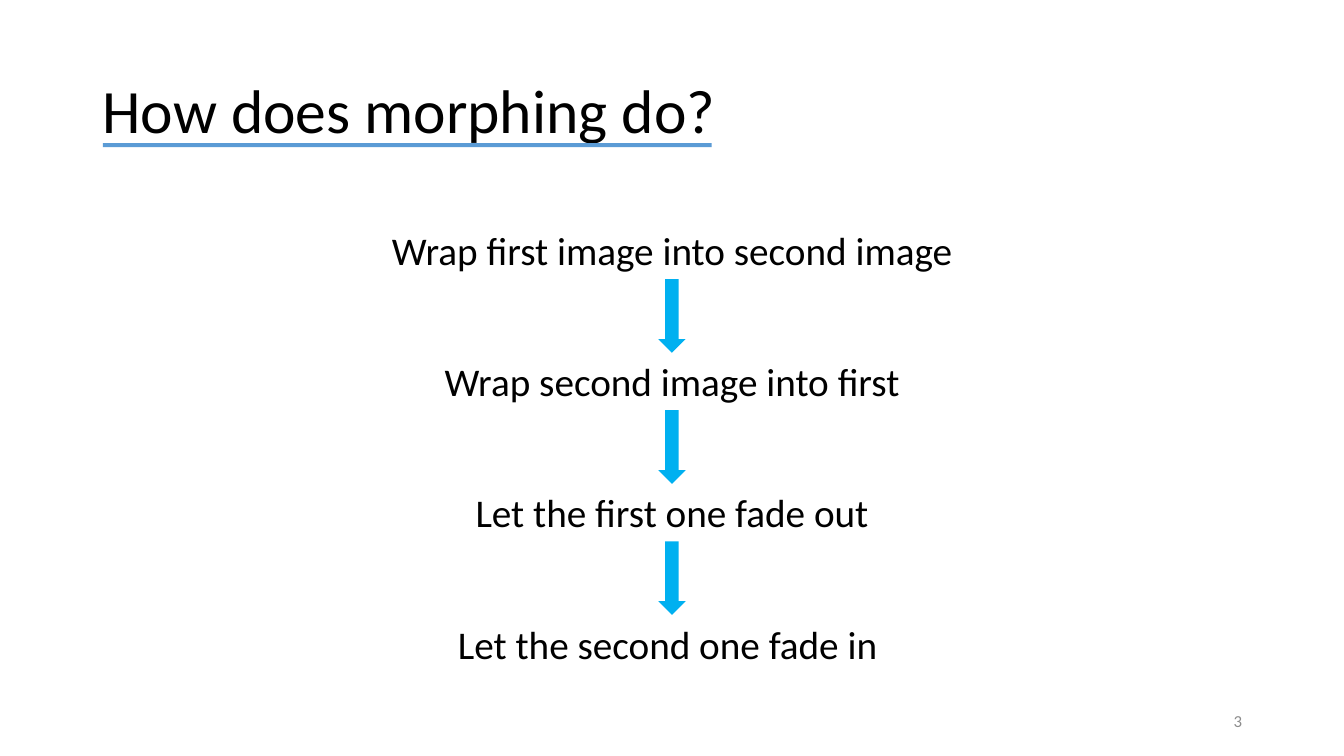
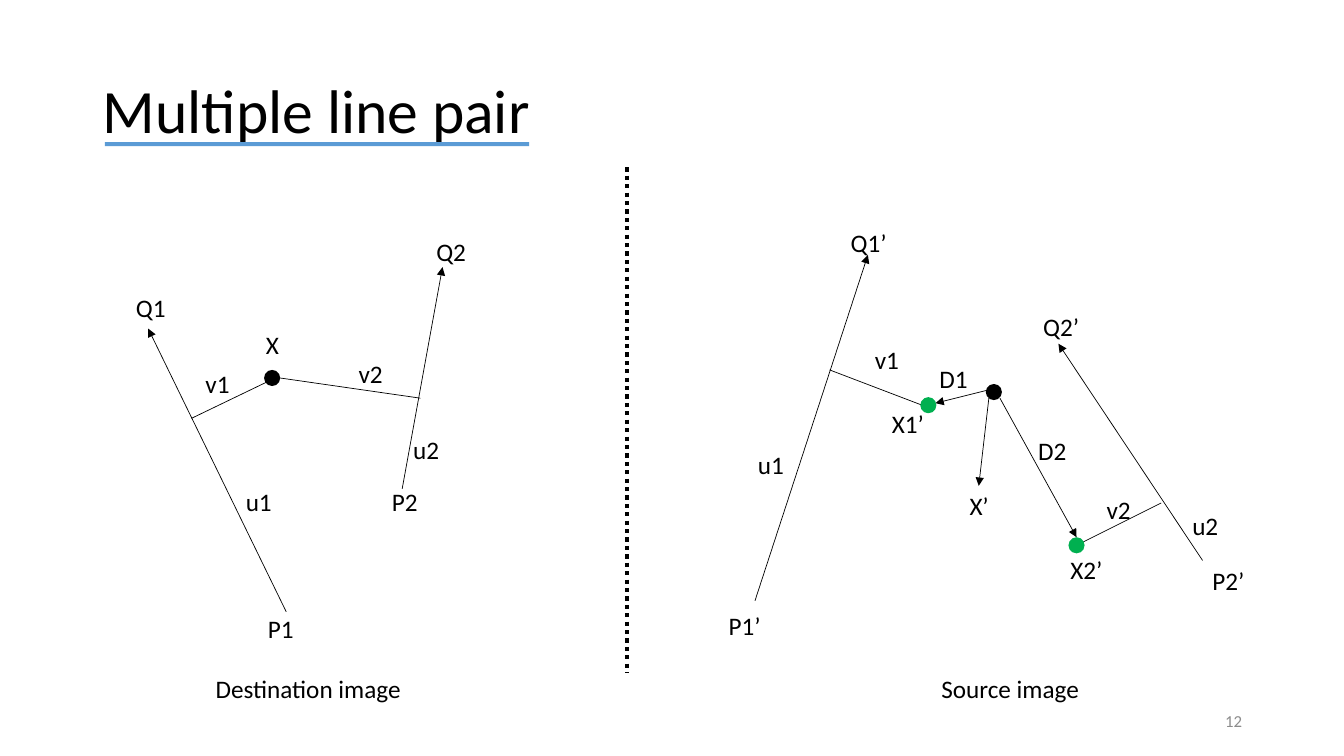
"""Builds two slides on image morphing, measured on a grid of tenth-inch columns and rows."""
from dataclasses import dataclass

from lxml import etree
from pptx import Presentation
from pptx import util as u
from pptx.dml.color import RGBColor
from pptx.enum import dml, shapes, text
from pptx.oxml.ns import qn


@dataclass(frozen=True)
class Theme:
    font: str = "Calibri"
    ink: str = "000000"
    accent: str = "5B9BD5"
    arrow: str = "00B0F0"
    moved: str = "00B050"
    muted: str = "8C8C8C"
    title: float = 44
    step: float = 28
    label: float = 18
    number: float = 12
    thin: float = 0.5
    thick: float = 3


@dataclass(frozen=True)
class Box:
    x: float
    y: float
    w: float
    h: float


@dataclass(frozen=True)
class Step:
    text: str
    w: float


@dataclass(frozen=True)
class Label:
    text: str
    x: float
    y: float


@dataclass(frozen=True)
class Dot:
    x: float
    y: float
    color: str


@dataclass(frozen=True)
class Line:
    x1: float
    y1: float
    x2: float
    y2: float
    arrow: bool = False


THEME = Theme()
COLS, ROWS = 133.33, 75
CENTER = COLS / 2
TITLE = Box(9.2, 4, 115, 14.5)
NUMBER = Box(94.2, 69.5, 30, 4)
LABEL_H = 4
CAPTION_Y = 66.3
DOT = 1.6
INSETS = 2
GLYPHS = {"X": 1.3, "v": 1.1, "u": 1.3, "P": 1.3, "Q": 1.7, "D": 1.6,
          "1": 1.3, "2": 1.3, "’": 0.6}

STEP_TOP, STEP_H, STEP_PITCH = 22, 5.7, 13
ARROW_W, ARROW_H = 2.7, 7.3
STEPS = [
    Step("Wrap first image into second image", 58.2),
    Step("Wrap second image into first", 47.7),
    Step("Let the first one fade out", 41.4),
    Step("Let the second one fade in ", 45),
]

LINES = [
    Line(28.4, 60.7, 14.7, 32.6, True),
    Line(39.9, 48.5, 43.9, 26.5, True),
    Line(19, 41.5, 27.3, 37.5),
    Line(41.7, 39.5, 27.8, 37.5),
    Line(74.9, 59.6, 86.1, 25.3, True),
    Line(119.3, 55.6, 105, 34.1, True),
    Line(82.3, 36.7, 92, 40.4),
    Line(115.2, 49.9, 106.8, 54.1),
    Line(98.8, 38.5, 92.8, 40, True),
    Line(99.2, 39.5, 106.8, 53.3, True),
    Line(98.1, 39.5, 97.1, 48.2, True),
]
DIVIDER = Line(62.2, 16.6, 62.2, 66.7)
DOTS = [
    Dot(27, 37.5, THEME.ink),
    Dot(92.1, 40.2, THEME.moved),
    Dot(106.8, 54.1, THEME.moved),
    Dot(98.6, 38.9, THEME.ink),
]
LABELS = [
    Label("X", 25.4, 32.2), Label("v1", 19.4, 36), Label("v2", 34.6, 35.1),
    Label("u1", 23.4, 47.8), Label("u2", 40, 42.6), Label("P1", 25.6, 60.4),
    Label("Q1", 12.5, 28.5), Label("Q2", 42.3, 23), Label("P2", 37.9, 47.8),
    Label("P1’", 71.3, 60.1), Label("Q1’", 83.4, 22.1), Label("u1", 74.2, 44.1),
    Label("v1", 85.8, 33.7), Label("u2", 117.3, 50.1), Label("v2", 108.8, 48.5),
    Label("X1’", 87.5, 40), Label("X2’", 105.2, 54.5), Label("D1", 92.2, 35.6),
    Label("D2", 102, 42.7), Label("X’", 95.2, 48.2), Label("P2’", 119.3, 55.6),
    Label("Q2’", 102.5, 30.4),
]
CAPTIONS = {
    "Destination image": Box(20.4, CAPTION_Y, 20.6, LABEL_H),
    "Source image": Box(92.4, CAPTION_Y, 15.8, LABEL_H),
}


def cells(n: float) -> int:
    """Return the length of n grid cells."""
    return u.Inches(n / 10)


def frame(box: Box) -> tuple[int, int, int, int]:
    """Return left, top, width and height of a grid box."""
    return cells(box.x), cells(box.y), cells(box.w), cells(box.h)


def add_text(s, words: str, box: Box, size: float, color: str = THEME.ink,
             align=text.PP_ALIGN.LEFT, anchor=text.MSO_ANCHOR.TOP,
             wrap: bool = False, spacing: float = 1.0) -> None:
    """Add one paragraph in a text box."""
    tf = s.shapes.add_textbox(*frame(box)).text_frame
    tf.text = words
    tf.word_wrap = wrap
    tf.vertical_anchor = anchor
    if not wrap:
        tf.auto_size = text.MSO_AUTO_SIZE.SHAPE_TO_FIT_TEXT
    p = tf.paragraphs[0]
    p.alignment = align
    p.line_spacing = spacing
    r = p.runs[0]
    r.font.name = THEME.font
    r.font.size = u.Pt(size)
    r.font.color.rgb = RGBColor.from_string(color)


def add_solid(s, kind: shapes.MSO_SHAPE, box: Box, color: str) -> None:
    """Add a filled shape without outline."""
    sp = s.shapes.add_shape(kind, *frame(box))
    sp.shadow.inherit = False
    sp.fill.solid()
    sp.fill.fore_color.rgb = RGBColor.from_string(color)
    sp.line.fill.background()


def add_line(s, line: Line, width: float = THEME.thin, dotted: bool = False) -> None:
    """Add a straight line, with an arrowhead or dots if asked."""
    c = s.shapes.add_connector(shapes.MSO_CONNECTOR.STRAIGHT, cells(line.x1),
                               cells(line.y1), cells(line.x2), cells(line.y2))
    c.line.color.rgb = RGBColor.from_string(THEME.ink)
    c.line.width = u.Pt(width)
    if dotted:
        c.line.dash_style = dml.MSO_LINE.ROUND_DOT
        c.line._ln.find(qn("a:prstDash")).set("val", "sysDot")
    if line.arrow:
        etree.SubElement(c.line._ln, qn("a:tailEnd"), type="triangle")
    etree.SubElement(c._element.spPr, qn("a:effectLst"))


def add_slide(prs, title: str, underline: Box, number: int):
    """Add a blank slide with underlined title and page number."""
    s = prs.slides.add_slide(prs.slide_layouts[6])
    add_text(s, title, TITLE, THEME.title, anchor=text.MSO_ANCHOR.MIDDLE,
             wrap=True, spacing=0.9)
    add_solid(s, shapes.MSO_SHAPE.RECTANGLE, underline, THEME.accent)
    add_text(s, str(number), NUMBER, THEME.number, THEME.muted,
             text.PP_ALIGN.RIGHT, text.MSO_ANCHOR.MIDDLE, wrap=True)
    return s


def add_steps(prs) -> None:
    """Add the slide with the chain of morphing steps."""
    s = add_slide(prs, "How does morphing do?", Box(10.2, 14.2, 60.4, 0.4), 3)
    for i, step in enumerate(STEPS):
        top = STEP_TOP + i * STEP_PITCH
        add_text(s, step.text, Box(CENTER - step.w / 2, top, step.w, STEP_H),
                 THEME.step, align=text.PP_ALIGN.CENTER)
        if i < len(STEPS) - 1:
            arrow = Box(CENTER - ARROW_W / 2, top + STEP_H, ARROW_W, ARROW_H)
            add_solid(s, shapes.MSO_SHAPE.DOWN_ARROW, arrow, THEME.arrow)


def add_line_pairs(prs) -> None:
    """Add the slide comparing line pairs in both images."""
    s = add_slide(prs, "Multiple line pair", Box(10.4, 14.1, 42.1, 0.4), 12)
    for line in LINES:
        add_line(s, line)
    add_line(s, DIVIDER, THEME.thick, dotted=True)
    for dot in DOTS:
        box = Box(dot.x - DOT / 2, dot.y - DOT / 2, DOT, DOT)
        add_solid(s, shapes.MSO_SHAPE.OVAL, box, dot.color)
    for label in LABELS:
        width = INSETS + sum(GLYPHS[g] for g in label.text)
        add_text(s, label.text, Box(label.x, label.y, width, LABEL_H), THEME.label)
    for words, box in CAPTIONS.items():
        add_text(s, words, box, THEME.label)


def main() -> None:
    """Build and save the presentation."""
    prs = Presentation()
    prs.slide_width, prs.slide_height = cells(COLS), cells(ROWS)
    add_steps(prs)
    add_line_pairs(prs)
    prs.save("out.pptx")


if __name__ == "__main__":
    main()
